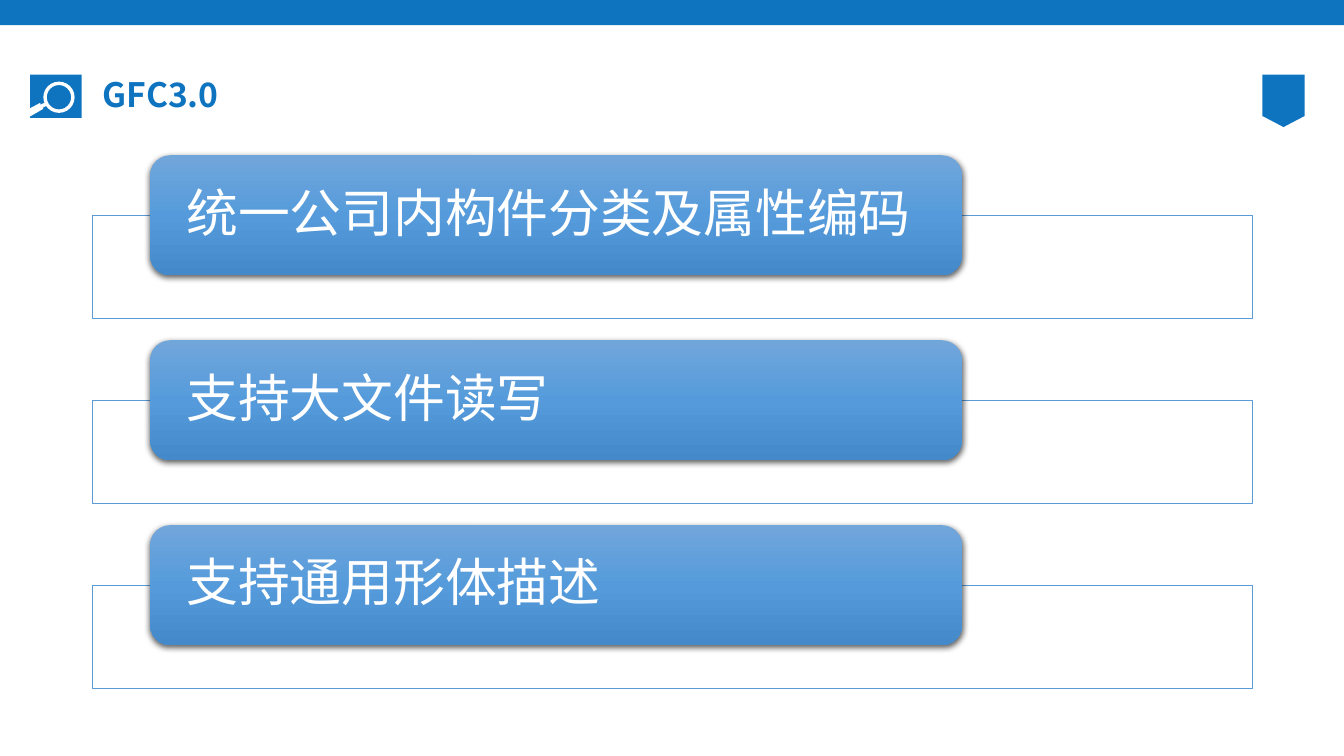
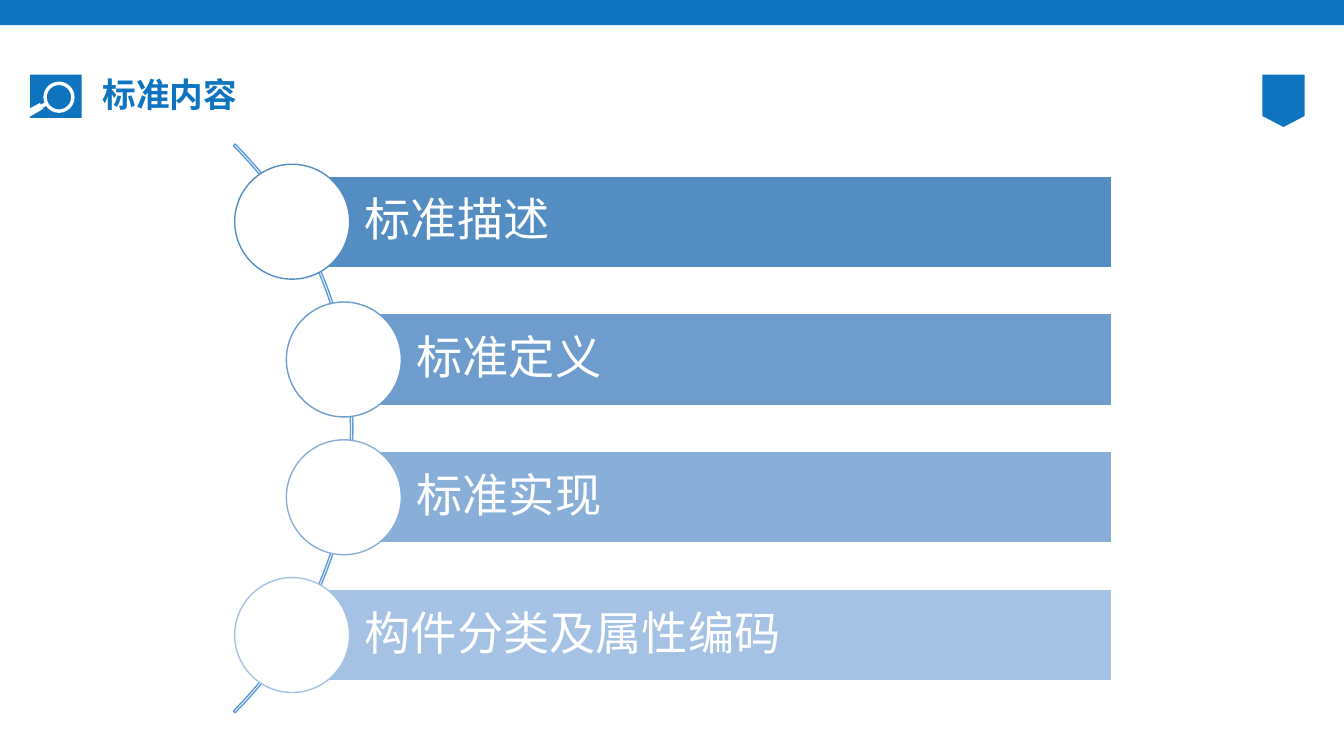
import math

import lxml.etree
import pptx
import pptx.dml.color
import pptx.enum.shapes
import pptx.enum.text
import pptx.oxml.ns
import pptx.util

RGB = pptx.dml.color.RGBColor
SHAPE = pptx.enum.shapes.MSO_SHAPE
ANCHOR = pptx.enum.text.MSO_ANCHOR
Inches, Pt = pptx.util.Inches, pptx.util.Pt
qn = pptx.oxml.ns.qn

# Content
CARDS_TITLE = "GFC3.0"
CARDS = ["统一公司内构件分类及属性编码", "支持大文件读写", "支持通用形体描述"]
STEPS_TITLE = "标准内容"
STEPS = [
    ("标准描述", RGB(0x53, 0x8D, 0xC1)),
    ("标准定义", RGB(0x6E, 0x9D, 0xCD)),
    ("标准实现", RGB(0x89, 0xAF, 0xD8)),
    ("构件分类及属性编码", RGB(0xA5, 0xC1, 0xE3)),
]

# Style
FONT = "Noto Sans CJK SC"
WHITE = RGB(0xFF, 0xFF, 0xFF)
BRAND = RGB(0x0F, 0x74, 0xC0)
FRAME = RGB(0x5B, 0x9B, 0xD5)
ARC = RGB(0x5F, 0x9C, 0xD5)
CARD_GRADIENT = [(0, "71A6DB"), (50, "559BDB"), (100, "448ACA")]

# Page grid, in inches
WIDTH, HEIGHT = 13.33, 7.5
MARGIN, CONTENT_W = 0.92, 11.5
HEAD_TOP, HEAD_H = 0.74, 0.43

# Icon handle and corner tag outlines
HANDLE = [(0.44, 1.02), (0.4, 1.04), (0.4, 1.02), (0.25, 1.1), (0.24, 1.15),
          (0.29, 1.16), (0.43, 1.08), (0.42, 1.07), (0.46, 1.05)]
TAG = [(12.52, 0.74), (12.94, 0.74), (12.94, 1.15), (12.73, 1.26), (12.52, 1.15)]


def paint(sp, fill=None, line=None, weight=1):
    sp.shadow.inherit = False
    if fill is None:
        sp.fill.background()
    else:
        sp.fill.solid()
        sp.fill.fore_color.rgb = fill
    if line is None:
        sp.line.fill.background()
    else:
        sp.line.color.rgb = line
        sp.line.width = Pt(weight)
    return sp


def add_shape(slide, kind, box, **style):
    return paint(slide.shapes.add_shape(kind, *map(Inches, box)), **style)


def add_outline(slide, points, fill):
    points = [(Inches(x), Inches(y)) for x, y in points]
    builder = slide.shapes.build_freeform(*points[0])
    builder.add_line_segments(points[1:])
    return paint(builder.convert_to_shape(), fill=fill)


def set_text(sp, text, size, color, insets, bold=False):
    tf = sp.text_frame
    tf.text = text
    tf.word_wrap = True
    tf.vertical_anchor = ANCHOR.MIDDLE
    tf.margin_left, tf.margin_top, tf.margin_right, tf.margin_bottom = map(Inches, insets)
    p = tf.paragraphs[0]
    p.alignment = pptx.enum.text.PP_ALIGN.LEFT
    p.line_spacing = 0.9
    font = p.runs[0].font
    font.size, font.bold, font.name = Pt(size), bold, FONT
    font.color.rgb = color
    lxml.etree.SubElement(p.runs[0]._r.rPr, qn("a:ea"), typeface=FONT)


def add_color(parent, value):
    return lxml.etree.SubElement(parent, qn("a:srgbClr"), val=value)


def glossy(sp):
    """Three-stop vertical gradient and a soft shadow below."""
    sp.fill.gradient()
    sp.fill.gradient_angle = 270
    props = sp._element.spPr
    stops = props.find(qn("a:gradFill")).find(qn("a:gsLst"))
    for stop in list(stops):
        stops.remove(stop)
    for percent, value in CARD_GRADIENT:
        add_color(lxml.etree.SubElement(stops, qn("a:gs"), pos=str(percent * 1000)), value)
    shadow = lxml.etree.SubElement(
        props.find(qn("a:effectLst")), qn("a:outerShdw"), blurRad=str(Pt(4.5)),
        dist=str(Pt(1.5)), dir="5400000", algn="ctr", rotWithShape="0")
    lxml.etree.SubElement(add_color(shadow, "000000"), qn("a:alpha"), val="63000")


def add_page(prs, title):
    slide = prs.slides.add_slide(prs.slide_layouts[6])
    add_shape(slide, SHAPE.RECTANGLE, (0, 0, WIDTH, 0.25), fill=BRAND)
    # Magnifier icon
    add_shape(slide, SHAPE.RECTANGLE, (0.3, HEAD_TOP, 0.51, HEAD_H), fill=BRAND)
    add_outline(slide, HANDLE, WHITE)
    lens = add_shape(slide, SHAPE.DONUT, (0.43, 0.81, 0.31, 0.31), fill=WHITE)
    lens.adjustments[0] = 0.11
    # Corner tag and title
    add_outline(slide, TAG, BRAND)
    box = slide.shapes.add_textbox(*map(Inches, (MARGIN, HEAD_TOP, CONTENT_W, HEAD_H)))
    set_text(box, title, 24, BRAND, (0.1, 0.05, 0.1, 0.05), bold=True)
    return slide


def build_cards(prs):
    slide = add_page(prs, CARDS_TITLE)
    top, pitch, card_h = 1.54, 1.835, 1.19
    for i, text in enumerate(CARDS):
        y = top + i * pitch
        add_shape(slide, SHAPE.RECTANGLE, (MARGIN, y + 0.6, CONTENT_W, 1.02),
                  fill=WHITE, line=FRAME, weight=0.5)
        card = add_shape(slide, SHAPE.ROUNDED_RECTANGLE,
                         (MARGIN + 0.57, y, CONTENT_W * 0.7, card_h))
        glossy(card)
        set_text(card, text, 37, WHITE, (0.3, 0, 0.3, 0))


def build_steps(prs):
    slide = add_page(prs, STEPS_TITLE)
    # Arc on which the circles sit
    center_x, center_y, size, radius = -0.49, 4.25, 7.98, 3.96
    arc = add_shape(slide, SHAPE.BLOCK_ARC,
                    (center_x - size / 2, center_y - size / 2, size, size), line=ARC)
    for i, value in enumerate((189, 27, 0.003)):
        arc.adjustments[i] = value
    # Bars start at the circle centres and share a right edge
    right, pitch, bar_h, circle = 11.03, 1.367, 0.91, 1.14
    for i, (text, color) in enumerate(STEPS):
        offset = (i - (len(STEPS) - 1) / 2) * pitch
        x, y = center_x + math.sqrt(radius ** 2 - offset ** 2), center_y + offset
        bar = add_shape(slide, SHAPE.RECTANGLE, (x, y - bar_h / 2, right - x, bar_h),
                        fill=color, line=WHITE)
        set_text(bar, text, 33, WHITE, (0.72, 0.09, 0.09, 0.09))
        add_shape(slide, SHAPE.OVAL, (x - circle / 2, y - circle / 2, circle, circle),
                  fill=WHITE, line=color)


def main():
    prs = pptx.Presentation()
    prs.slide_width, prs.slide_height = Inches(WIDTH), Inches(HEIGHT)
    build_cards(prs)
    build_steps(prs)
    prs.save("out.pptx")


if __name__ == "__main__":
    main()
